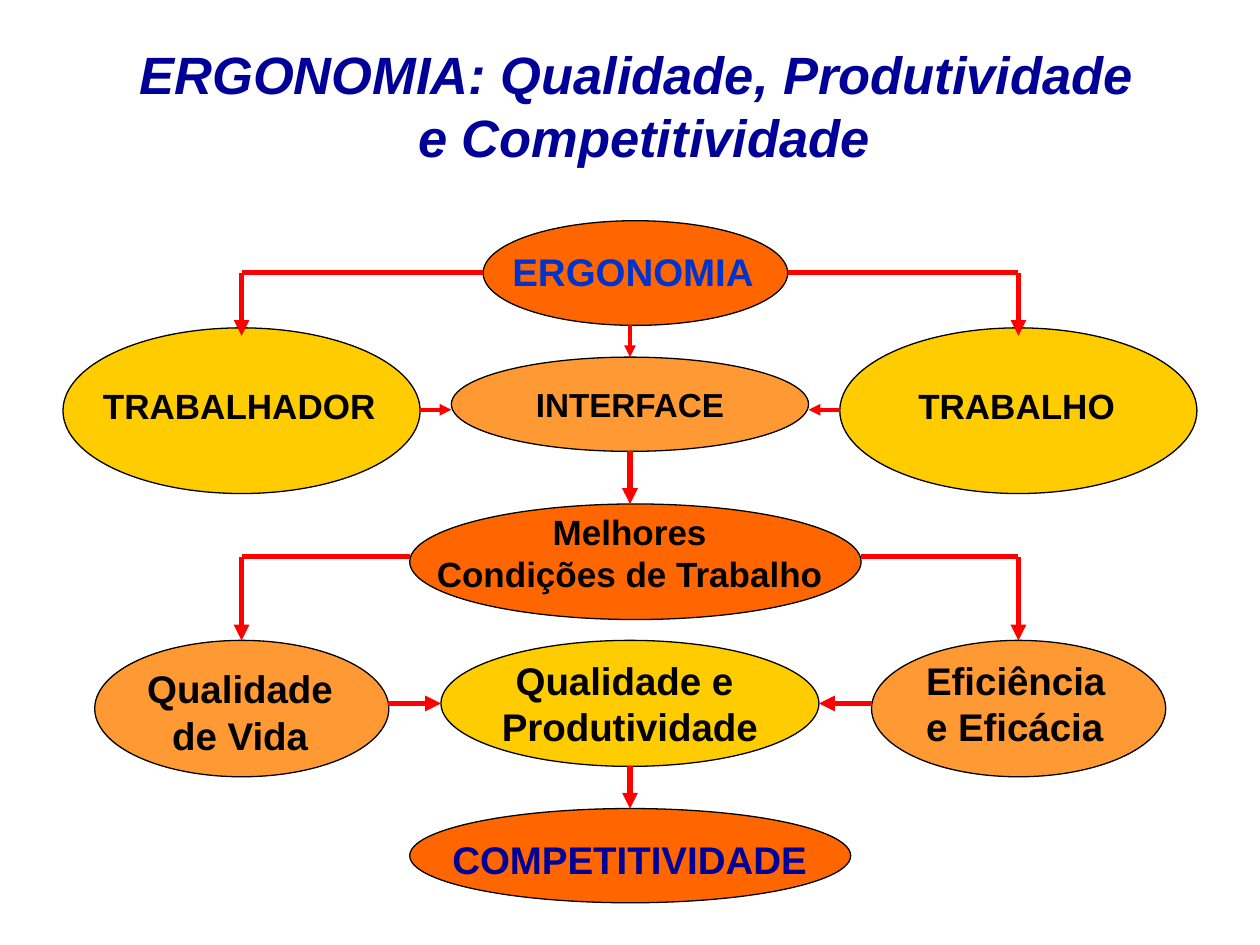
from pptx import Presentation
from pptx.dml.color import RGBColor
from pptx.enum.shapes import MSO_CONNECTOR, MSO_SHAPE
from pptx.enum.text import MSO_ANCHOR, MSO_AUTO_SIZE, PP_ALIGN
from pptx.oxml.ns import qn
from pptx.util import Cm, Pt
from lxml import etree

OVAL = MSO_SHAPE.OVAL
STRAIGHT = MSO_CONNECTOR.STRAIGHT
MIDDLE = MSO_ANCHOR.MIDDLE
GROW = MSO_AUTO_SIZE.SHAPE_TO_FIT_TEXT
LEFT, CENTER = PP_ALIGN.LEFT, PP_ALIGN.CENTER

COLORS = {
    "navy": "000099", "blue": "0033CC", "black": "000000", "red": "FF0000",
    "yellow": "FFCC00", "orange": "FF9933", "deep": "FF6600",
}


def rgb(name):
    return RGBColor.from_string(COLORS[name])


def write(tf, lines, size, color, align=CENTER, italic=False):
    tf.word_wrap = False
    tf.text = "\n".join(lines)
    for p in tf.paragraphs:
        p.alignment = align
        for r in p.runs:
            r.font.name = "Arial"
            r.font.size = Pt(size)
            r.font.bold = True
            r.font.italic = italic
            r.font.color.rgb = rgb(color)


prs = Presentation()
prs.slide_width, prs.slide_height = Cm(25.4), Cm(19.05)
s = prs.slides.add_slide(prs.slide_layouts[6])

# Ellipses: left, top, width, height, fill
ellipses = {
    "interface": (9.1, 7.2, 7.2, 1.9, "orange"),
    "conditions": (8.26, 10.16, 9.1, 2.33, "deep"),
    "quality": (8.89, 12.91, 7.62, 2.54, "yellow"),
    "work": (16.93, 6.61, 7.2, 3.34, "yellow"),
    "life": (1.91, 12.91, 5.93, 2.75, "orange"),
    "efficiency": (17.57, 12.91, 5.93, 2.75, "orange"),
    "competitiveness": (8.26, 16.3, 8.89, 1.9, "deep"),
    "ergonomics": (9.74, 4.45, 6.14, 2.11, "deep"),
    "worker": (1.27, 6.61, 7.2, 3.34, "yellow"),
}
frames = {}
for name, (*box, fill) in ellipses.items():
    sp = s.shapes.add_shape(OVAL, *map(Cm, box))
    sp.shadow.inherit = False
    sp.fill.solid()
    sp.fill.fore_color.rgb = rgb(fill)
    sp.line.color.rgb = rgb("black")
    sp.line.width = Pt(0.75)
    frames[name] = sp.text_frame
    frames[name].vertical_anchor = MIDDLE

# Text inside two of the ellipses
write(frames["interface"], ["INTERFACE"], 19, "black")
write(frames["quality"], ["Qualidade e ", "Produtividade"], 22, "black")

# Title and labels: box, lines, size, color, alignment, italic
labels = [
    ((2.56, 0.72, 20.85, 2.79),
     ["ERGONOMIA: Qualidade, Produtividade ", "e Competitividade"],
     30, "navy", CENTER, True),
    ((10.08, 4.87, 5.42, 1.19), ["ERGONOMIA"], 22, "blue", LEFT, False),
    ((18.26, 7.62, 4.47, 1.12), ["TRABALHO"], 20, "black", CENTER, False),
    ((1.79, 7.62, 6.07, 1.12), ["TRABALHADOR"], 20, "black", CENTER, False),
    ((8.53, 10.16, 8.33, 1.96), ["Melhores", "Condições de Trabalho"],
     20, "black", CENTER, False),
    ((2.68, 13.29, 4.32, 2.13), ["Qualidade", "de Vida"],
     22, "black", CENTER, False),
    ((18.42, 13.12, 4.29, 2.13), ["Eficiência", "e Eficácia"],
     22, "black", LEFT, False),
    ((8.87, 16.72, 7.65, 1.19), ["COMPETITIVIDADE"], 22, "navy", LEFT, False),
]
for box, *style in labels:
    tf = s.shapes.add_textbox(*map(Cm, box)).text_frame
    write(tf, *style)
    tf.auto_size = GROW

# Lines: x1, y1, x2, y2, width, arrowhead
mid, left, right = 12.7, 4.87, 20.53
lines = [
    (mid, 6.56, mid, 7.2, 2.25, True),
    (mid, 9.1, mid, 10.16, 3, True),
    (mid, 15.45, mid, 16.3, 3, True),
    (8.47, 8.26, 9.1, 8.26, 2.25, True),
    (16.93, 8.26, 16.3, 8.26, 2.25, True),
    (7.83, 14.18, 8.89, 14.18, 3, True),
    (17.57, 14.18, 16.51, 14.18, 3, True),
]
# Elbows from a central ellipse down to both sides
for x_left, x_right, top, bottom in [(9.74, 15.88, 5.5, 6.77),
                                     (8.26, 17.36, 11.22, 12.91)]:
    for start, side in [(x_left, left), (x_right, right)]:
        lines.append((start, top, side, top, 3, False))
        lines.append((side, top, side, bottom, 3, True))

for *ends, width, arrow in lines:
    c = s.shapes.add_connector(STRAIGHT, *map(Cm, ends))
    c.line.color.rgb = rgb("red")
    c.line.width = Pt(width)
    if arrow:
        etree.SubElement(c.line._get_or_add_ln(), qn("a:tailEnd"), type="triangle")
    etree.SubElement(c._element.spPr, qn("a:effectLst"))

prs.save("out.pptx")
